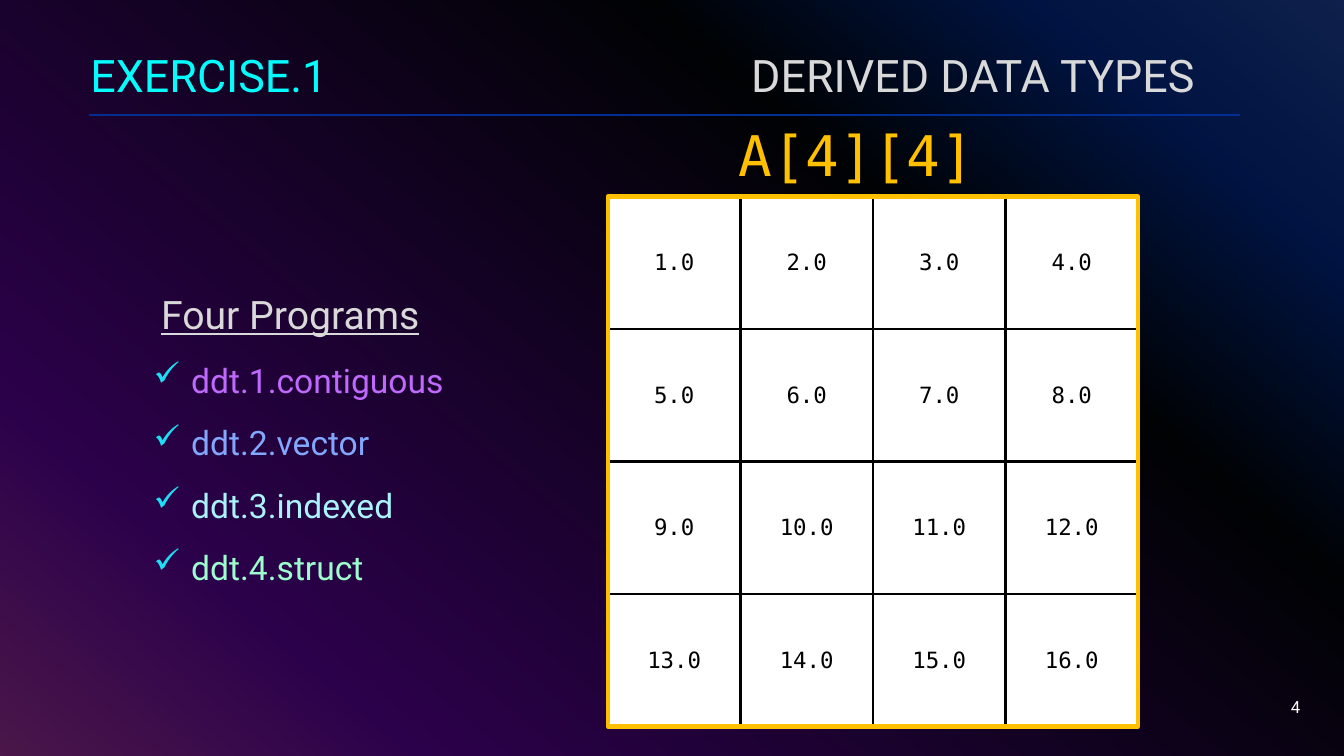
from dataclasses import dataclass

from lxml import etree
from pptx import Presentation
from pptx.dml.color import RGBColor
from pptx.enum.shapes import MSO_CONNECTOR, MSO_SHAPE
from pptx.enum.text import MSO_ANCHOR, PP_ALIGN
from pptx.oxml.ns import qn
from pptx.util import Cm, Pt

LEFT, CENTER, RIGHT = PP_ALIGN.LEFT, PP_ALIGN.CENTER, PP_ALIGN.RIGHT
TOP, MIDDLE, BOTTOM = MSO_ANCHOR.TOP, MSO_ANCHOR.MIDDLE, MSO_ANCHOR.BOTTOM
RECTANGLE = MSO_SHAPE.RECTANGLE
STRAIGHT = MSO_CONNECTOR.STRAIGHT

SANS, MONO = "Roboto", "DejaVu Sans Mono"
COLORS = {
    "black": "000000", "white": "FFFFFF", "gray": "D9D9D9", "gold": "FFC000",
    "cyan": "04FCFC", "rule": "022E94", "check": "1CDFF5",
    "purple": "BF69FD", "blue": "83A7FD", "aqua": "ABF3FB", "mint": "9EFDCD",
}
BACKGROUND_STOPS = [(0, "316CFC"), (14, "0343DF"), (31, "02090E"),
                    (81, "9405FC"), (100, "FC4EFB")]
WIDTH, HEIGHT = 33.87, 19.05
MATRIX_LEFT, MATRIX_TOP, MATRIX_SIZE, N = 15.32, 4.95, 13.36, 4


@dataclass
class Box:
    left: float
    top: float
    width: float
    height: float

    def emu(self) -> tuple:
        return Cm(self.left), Cm(self.top), Cm(self.width), Cm(self.height)


@dataclass
class Program:
    name: str
    color: str


PROGRAMS = [
    Program("ddt.1.contiguous", "purple"),
    Program("ddt.2.vector", "blue"),
    Program("ddt.3.indexed", "aqua"),
    Program("ddt.4.struct", "mint"),
]


def rgb(name: str) -> RGBColor:
    return RGBColor.from_string(COLORS[name])


def add_run(p, text: str, size: float, color: str, font: str = SANS):
    r = p.add_run()
    r.text = text
    r.font.size, r.font.name = Pt(size), font
    r.font.color.rgb = rgb(color)
    return r


def add_text_frame(slide, box: Box, anchor, wrap: bool = True):
    tf = slide.shapes.add_textbox(*box.emu()).text_frame
    tf.word_wrap, tf.vertical_anchor = wrap, anchor
    return tf


def add_rectangle(slide, box: Box):
    sp = slide.shapes.add_shape(RECTANGLE, *box.emu())
    sp.shadow.inherit = False
    return sp


def set_background(slide) -> None:
    fill = slide.background.fill
    fill.gradient()
    fill.gradient_angle = 230
    stops = slide.element.find(".//" + qn("a:gsLst"))
    for stop in list(stops):
        stops.remove(stop)
    for position, color in BACKGROUND_STOPS:
        gs = etree.SubElement(stops, qn("a:gs"), pos=str(position * 1000))
        etree.SubElement(gs, qn("a:srgbClr"), val=color)


def set_bullet(p, char: str, color: str) -> None:
    pPr = p._p.get_or_add_pPr()
    clr = etree.SubElement(pPr, qn("a:buClr"))
    etree.SubElement(clr, qn("a:srgbClr"), val=COLORS[color])
    etree.SubElement(pPr, qn("a:buChar"), char=char)


def set_indent(p, margin: float, first: float) -> None:
    pPr = p._p.get_or_add_pPr()
    pPr.set("marL", str(Cm(margin)))
    pPr.set("indent", str(Cm(first)))


def set_borders(cell, color: str, width: float) -> None:
    tcPr = cell._tc.get_or_add_tcPr()
    for i, side in enumerate(("lnL", "lnR", "lnT", "lnB")):
        ln = etree.Element(qn("a:" + side), w=str(Pt(width)))
        fill = etree.SubElement(ln, qn("a:solidFill"))
        etree.SubElement(fill, qn("a:srgbClr"), val=COLORS[color])
        tcPr.insert(i, ln)


def add_backdrop(slide) -> None:
    set_background(slide)
    sp = add_rectangle(slide, Box(0, 0, WIDTH, HEIGHT))
    sp.fill.solid()
    sp.fill.fore_color.rgb = rgb("black")
    sp.line.fill.background()
    clr = sp.fill._xPr.find(".//" + qn("a:srgbClr"))
    etree.SubElement(clr, qn("a:alpha"), val="70000")

    rule = slide.shapes.add_connector(STRAIGHT, Cm(2.24), Cm(2.9), Cm(31.24), Cm(2.9))
    rule.line.color.rgb, rule.line.width = rgb("rule"), Pt(2)
    etree.SubElement(rule._element.spPr, qn("a:effectLst"))


def add_title(slide) -> None:
    p = add_text_frame(slide, Box(2.03, 0, 29.21, 2.69), BOTTOM).paragraphs[0]
    p.line_spacing = 0.9
    tabs = etree.SubElement(p._p.get_or_add_pPr(), qn("a:tabLst"))
    etree.SubElement(tabs, qn("a:tab"), pos=str(Cm(16.65)), algn="l")
    add_run(p, "EXERCISE.1\t", 32, "cyan")
    add_run(p, "DERIVED DATA TYPES", 32, "gray")


def add_programs(slide) -> None:
    tf = add_text_frame(slide, Box(2.03, 3.56, 12.07, 14.76), MIDDLE)
    heading = tf.paragraphs[0]
    set_indent(heading, 1.78, 0)
    add_run(heading, "Four Programs", 28, "gray").font.underline = True
    for program in PROGRAMS:
        p = tf.add_paragraph()
        set_indent(p, 2.54, -0.95)
        add_run(p, program.name, 24, program.color)
    for p in tf.paragraphs:
        p.line_spacing, p.space_before = 1.2, Pt(10)
    for p in tf.paragraphs[1:]:
        set_bullet(p, "✓", "check")


def add_matrix(slide) -> None:
    box = Box(MATRIX_LEFT, MATRIX_TOP, MATRIX_SIZE, MATRIX_SIZE)
    table = slide.shapes.add_table(N, N, *box.emu()).table
    table.first_row = table.horz_banding = False
    for i in range(N):
        table.columns[i].width = table.rows[i].height = Cm(MATRIX_SIZE / N)
    for i, cell in enumerate(table.iter_cells(), start=1):
        cell.fill.solid()
        cell.fill.fore_color.rgb = rgb("white")
        cell.vertical_anchor = MIDDLE
        set_borders(cell, "black", 2.25)
        p = cell.text_frame.paragraphs[0]
        p.alignment = CENTER
        add_run(p, f"{i}.0", 16, "black", MONO)

    label = add_text_frame(slide, Box(18.36, 2.9, 6.5, 1.96), TOP, wrap=False)
    label.paragraphs[0].alignment = LEFT
    add_run(label.paragraphs[0], "A[4][4]", 40, "gold", MONO)

    frame = add_rectangle(slide, box)
    frame.fill.background()
    frame.line.color.rgb, frame.line.width = rgb("gold"), Pt(3)


def add_slide_number(slide) -> None:
    p = add_text_frame(slide, Box(25.4, 17.3, 7.62, 1.02), MIDDLE).paragraphs[0]
    p.alignment = RIGHT
    add_run(p, "4", 12, "white")


def main() -> None:
    prs = Presentation()
    prs.slide_width, prs.slide_height = Cm(WIDTH), Cm(HEIGHT)
    slide = prs.slides.add_slide(prs.slide_layouts[6])
    add_backdrop(slide)
    add_title(slide)
    add_programs(slide)
    add_matrix(slide)
    add_slide_number(slide)
    prs.save("out.pptx")


if __name__ == "__main__":
    main()
